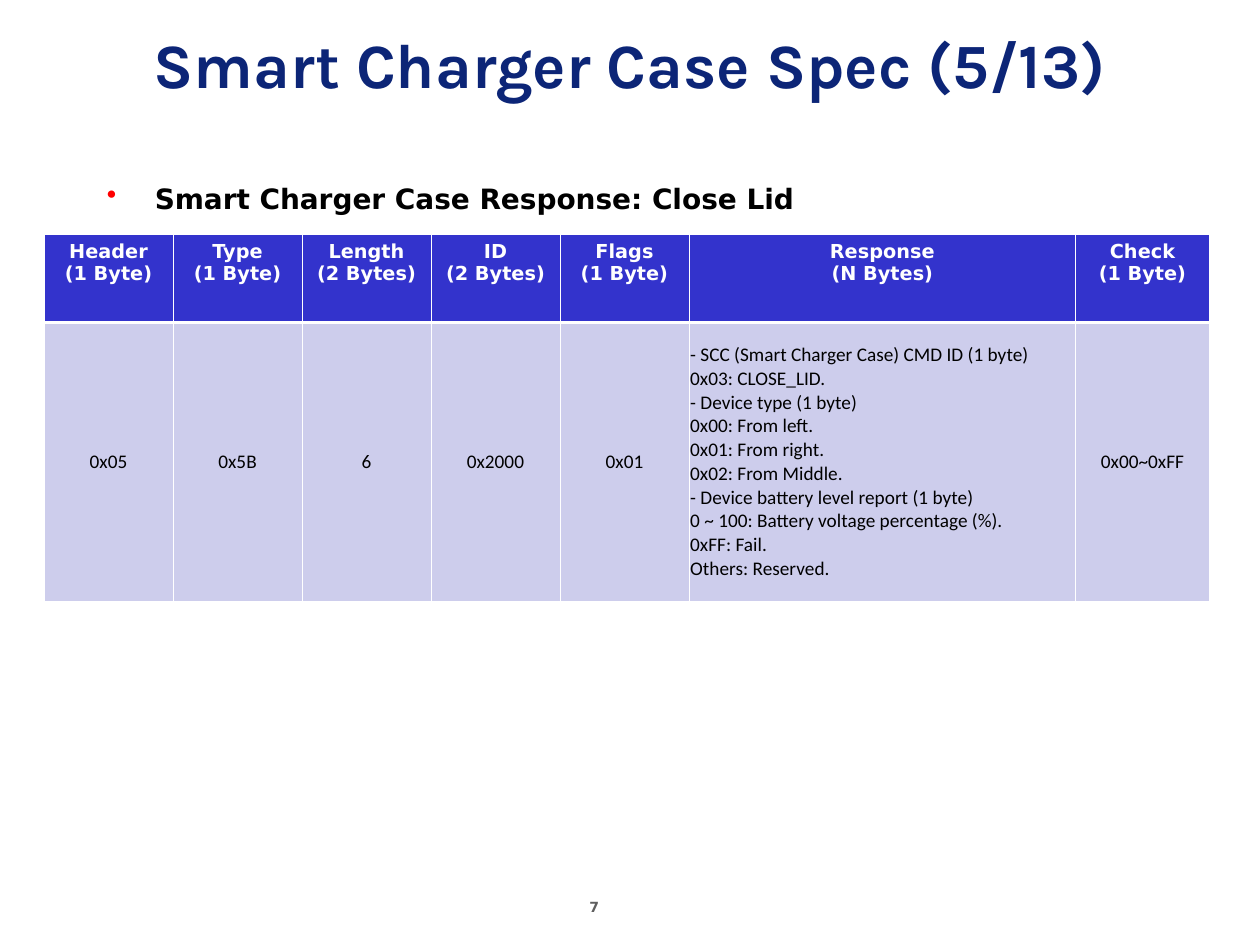
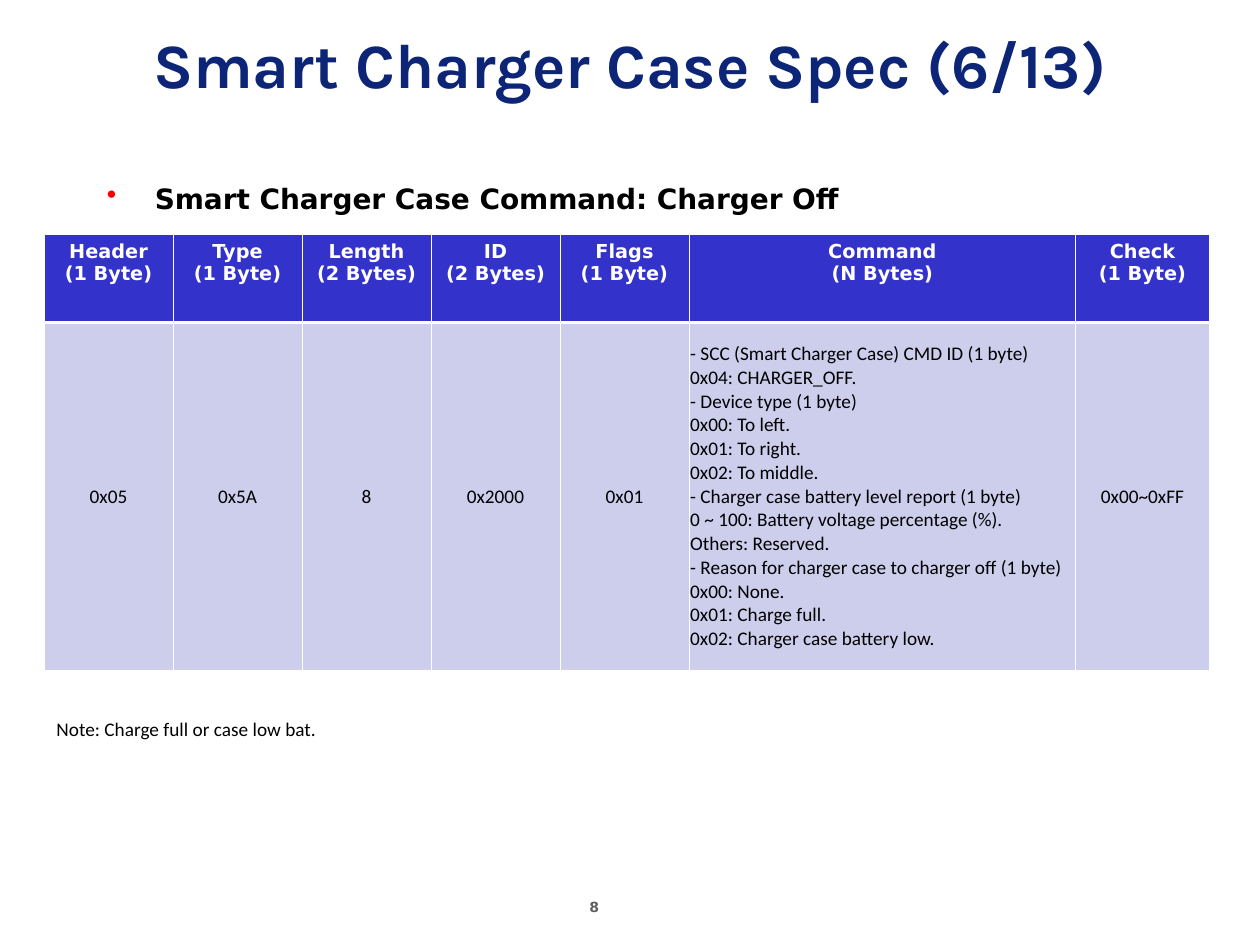
"""Build two slides of the Smart Charger Case message specification."""
from lxml import etree
from pptx import Presentation
from pptx.dml.color import RGBColor
from pptx.enum.text import MSO_ANCHOR, PP_ALIGN
from pptx.oxml.ns import qn
from pptx.util import Inches, Pt

LEFT, CENTER = PP_ALIGN.LEFT, PP_ALIGN.CENTER
TOP, MIDDLE = MSO_ANCHOR.TOP, MSO_ANCHOR.MIDDLE

NAVY = RGBColor(0x0C, 0x25, 0x77)
BLUE = RGBColor(0x33, 0x33, 0xCC)
LAVENDER = RGBColor(0xCD, 0xCD, 0xEC)
RED = RGBColor(0xFF, 0x00, 0x00)
GRAY = RGBColor(0x5F, 0x5F, 0x5F)
BLACK = RGBColor(0x00, 0x00, 0x00)
WHITE = RGBColor(0xFF, 0xFF, 0xFF)
TITLE_FONT, HEADING_FONT, VALUE_FONT = "Karla", "DejaVu Sans", "Calibri"

MESSAGES = [
    {
        "page": "7",
        "title": "Smart Charger Case Spec (5/13)",
        "heading": "Smart Charger Case Response: Close Lid",
        "payload": "Response",
        "type": "0x5B",
        "length": "6",
        "details": [
            "- SCC (Smart Charger Case) CMD ID (1 byte)",
            "0x03: CLOSE_LID.",
            "- Device type (1 byte)",
            "0x00: From left.",
            "0x01: From right.",
            "0x02: From Middle.",
            "- Device battery level report (1 byte)",
            "0 ~ 100: Battery voltage percentage (%).",
            "0xFF: Fail.",
            "Others: Reserved.",
        ],
        "row_height": 2.21,
        "note": None,
    },
    {
        "page": "8",
        "title": "Smart Charger Case Spec (6/13)",
        "heading": "Smart Charger Case Command: Charger Off",
        "payload": "Command",
        "type": "0x5A",
        "length": "8",
        "details": [
            "- SCC (Smart Charger Case) CMD ID (1 byte)",
            "0x04: CHARGER_OFF.",
            "- Device type (1 byte)",
            "0x00: To left.",
            "0x01: To right.",
            "0x02: To middle.",
            "- Charger case battery level report (1 byte)",
            "0 ~ 100: Battery voltage percentage (%).",
            "Others: Reserved.",
            "- Reason for charger case to charger off (1 byte)",
            "0x00: None.",
            "0x01: Charge full.",
            "0x02: Charger case battery low.",
        ],
        "row_height": 2.76,
        "note": "Note: Charge full or case low bat.",
    },
]

TABLE_LEFT, TABLE_TOP, TABLE_WIDTH = 0.35, 1.86, 9.25
HEADER_HEIGHT = 0.7
PAYLOAD_WIDTH, CHECK_WIDTH = 3.07, 1.06
FIELD_WIDTH = (TABLE_WIDTH - PAYLOAD_WIDTH - CHECK_WIDTH) / 5
COLUMN_WIDTHS = [FIELD_WIDTH] * 5 + [PAYLOAD_WIDTH, CHECK_WIDTH]
NOTE_GAP = 0.32
THIN, THICK = 0.45, 1.47


def write_text(frame, lines, font=VALUE_FONT, size=11, color=BLACK, bold=False,
               align=LEFT, bullet=None):
    for index, line in enumerate(lines):
        paragraph = frame.paragraphs[0] if index == 0 else frame.add_paragraph()
        paragraph.alignment = align
        if bullet:
            add_bullet(paragraph, bullet)
        run = paragraph.add_run()
        run.text = line
        run.font.name, run.font.size, run.font.bold = font, Pt(size), bold
        run.font.color.rgb = color


def add_bullet(paragraph, color):
    properties = paragraph._p.get_or_add_pPr()
    properties.set("marL", str(Inches(0.38)))
    properties.set("indent", str(Inches(-0.38)))
    bullet_color = etree.SubElement(properties, qn("a:buClr"))
    etree.SubElement(bullet_color, qn("a:srgbClr"), val=str(color))
    etree.SubElement(properties, qn("a:buChar"), char="•")


def add_text(slide, box, lines, anchor=TOP, **text_format):
    frame = slide.shapes.add_textbox(*map(Inches, box)).text_frame
    frame.word_wrap = True
    frame.vertical_anchor = anchor
    write_text(frame, lines, **text_format)


def add_borders(cell, **widths):
    properties = cell._tc.get_or_add_tcPr()
    for side in "LRTB":
        width = Pt(widths.get(side, THIN))
        border = etree.SubElement(properties, qn(f"a:ln{side}"), w=str(width))
        fill = etree.SubElement(border, qn("a:solidFill"))
        etree.SubElement(fill, qn("a:srgbClr"), val=str(WHITE))


def add_message_table(slide, message):
    columns = [
        (["Header", "(1 Byte)"], ["0x05"]),
        (["Type", "(1 Byte)"], [message["type"]]),
        (["Length", "(2 Bytes)"], [message["length"]]),
        (["ID", "(2 Bytes)"], ["0x2000"]),
        (["Flags", "(1 Byte)"], ["0x01"]),
        ([message["payload"], "(N Bytes)"], message["details"]),
        (["Check", "(1 Byte)"], ["0x00~0xFF"]),
    ]
    heights = [HEADER_HEIGHT, message["row_height"]]
    box = TABLE_LEFT, TABLE_TOP, TABLE_WIDTH, sum(heights)
    table = slide.shapes.add_table(2, len(columns), *map(Inches, box)).table
    for row, height in zip(table.rows, heights):
        row.height = Inches(height)
    for index, (field, value) in enumerate(columns):
        table.columns[index].width = Inches(COLUMN_WIDTHS[index])
        header, body = table.cell(0, index), table.cell(1, index)
        add_borders(header, B=THICK)
        add_borders(body, T=THICK)
        for cell, color in ((header, BLUE), (body, LAVENDER)):
            cell.fill.solid()
            cell.fill.fore_color.rgb = color
        body.margin_left = body.margin_right = Inches(0.01)
        body.vertical_anchor = MIDDLE
        write_text(header.text_frame, field, font=HEADING_FONT, color=WHITE,
                   bold=True, align=CENTER)
        write_text(body.text_frame, value,
                   align=LEFT if value is message["details"] else CENTER)


def build_slide(presentation, message):
    slide = presentation.slides.add_slide(presentation.slide_layouts[6])
    add_text(slide, (4.58, 7.08, 0.77, 0.26), [message["page"]],
             font=HEADING_FONT, size=8, color=GRAY, bold=True)
    add_text(slide, (0, 0, 10, 1), [message["title"]], anchor=MIDDLE,
             font=TITLE_FONT, size=36, color=NAVY, bold=True, align=CENTER)
    add_text(slide, (0.75, 1.39, 9.25, 5.17), [message["heading"]],
             font=HEADING_FONT, size=16, bold=True, bullet=RED)
    add_message_table(slide, message)
    if message["note"]:
        note_top = TABLE_TOP + HEADER_HEIGHT + message["row_height"] + NOTE_GAP
        add_text(slide, (TABLE_LEFT, note_top, 5, 0.29), [message["note"]])


def main():
    presentation = Presentation()
    presentation.slide_width, presentation.slide_height = Inches(10), Inches(7.5)
    for message in MESSAGES:
        build_slide(presentation, message)
    presentation.save("out.pptx")


if __name__ == "__main__":
    main()
